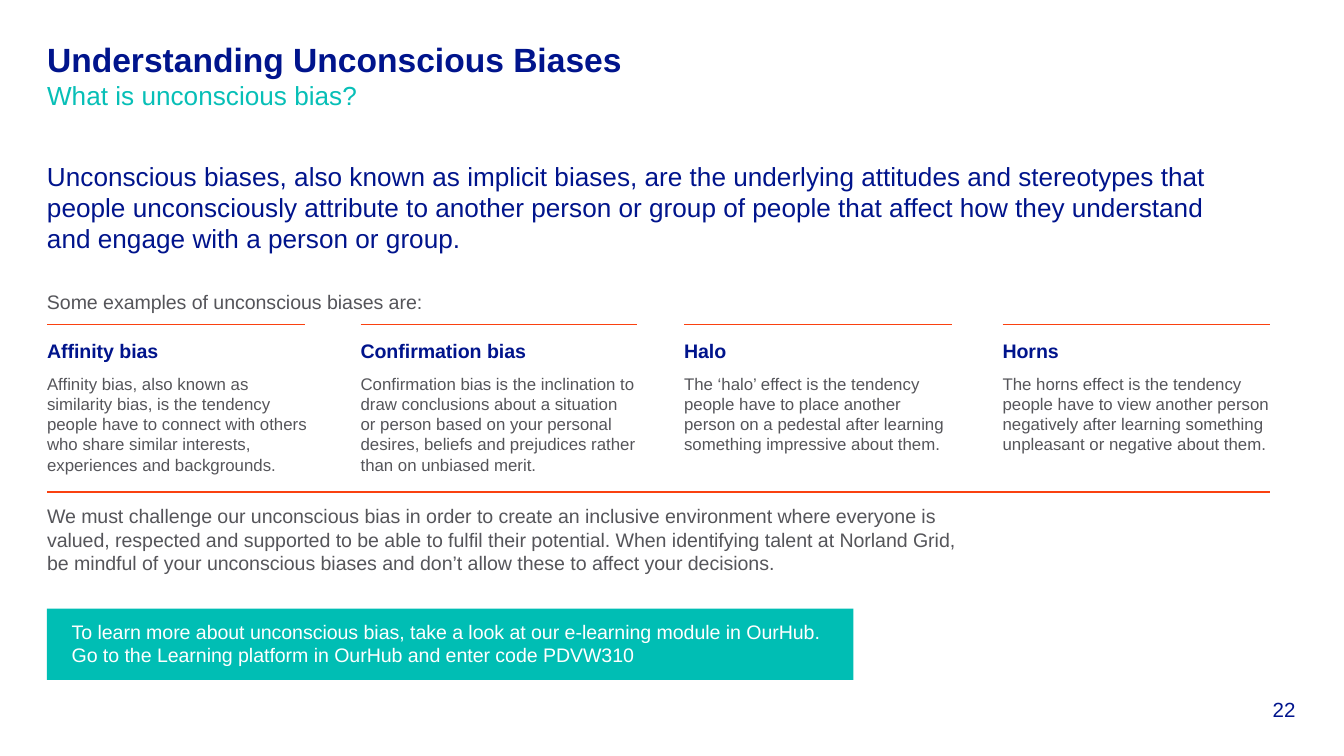
from pptx import Presentation
from pptx.dml.color import RGBColor
from pptx.enum.shapes import MSO_CONNECTOR as Connector, MSO_SHAPE as Shape
from pptx.enum.text import MSO_ANCHOR as Anchor, PP_ALIGN as Align
from pptx.oxml.ns import qn
from pptx.util import Inches, Pt
from lxml.etree import SubElement

NAVY = RGBColor(0x00, 0x14, 0x8C)
TEAL = RGBColor(0x00, 0xBE, 0xB4)
AQUA = RGBColor(0x07, 0xBF, 0xB7)
ORANGE = RGBColor(0xFA, 0x41, 0x10)
GREY = RGBColor(0x55, 0x55, 0x5A)
WHITE = RGBColor(0xFF, 0xFF, 0xFF)


class Page:
    """Places elements on a grid of 100 columns, ten to the inch; rows are as tall."""
    FONT = "Arial"

    def __init__(self, slide):
        self.shapes = slide.shapes

    @staticmethod
    def grid(*units):
        return [Inches(unit / 10) for unit in units]

    def text(self, box, *paragraphs, after=0, align=Align.LEFT, anchor=Anchor.TOP):
        """Each paragraph is a list of lines: (words, size, colour, bold)."""
        frame = self.shapes.add_textbox(*self.grid(*box)).text_frame
        frame.word_wrap = True
        frame.vertical_anchor = anchor
        frame.margin_left = frame.margin_right = 0
        frame.margin_top = frame.margin_bottom = 0
        frame.text = "\n".join("\v".join(line[0] for line in lines) for lines in paragraphs)
        for paragraph, lines in zip(frame.paragraphs, paragraphs):
            paragraph.alignment = align
            paragraph.space_after = Pt(after)
            for run, (_, size, colour, bold) in zip(paragraph.runs, lines):
                run.font.name = self.FONT
                run.font.size = Pt(size)
                run.font.color.rgb = colour
                run.font.bold = bold

    def rule(self, left, row, width):
        line = self.shapes.add_connector(
            Connector.STRAIGHT, *self.grid(left, row, left + width, row))
        line.line.color.rgb = ORANGE
        line.line.width = Pt(0.75)
        SubElement(line._element.spPr, qn("a:effectLst"))

    def panel(self, box, colour):
        panel = self.shapes.add_shape(Shape.RECTANGLE, *self.grid(*box))
        panel.shadow.inherit = False
        panel.fill.solid()
        panel.fill.fore_color.rgb = colour
        panel.line.fill.background()


deck = Presentation()
deck.slide_width = Inches(10)
deck.slide_height = deck.slide_width * 9 // 16
page = Page(deck.slides.add_slide(deck.slide_layouts[6]))
MARGIN, RIGHT = 3.5, 94.5

# Heading
page.text((MARGIN, 2.9, 92.9, 4.9),
          [("Understanding Unconscious Biases", 18, NAVY, True),
           ("What is unconscious bias?", 14, AQUA, False)])

# Definition and lead-in
page.text((MARGIN, 11.9, 87.3, 7.1),
          [("Unconscious biases, also known as implicit biases, are the underlying "
            "attitudes and stereotypes\u00a0that people unconsciously attribute to another "
            "person or group of people that affect how they understand and engage with "
            "a person or group. ", 14, NAVY, False)], after=12)
page.text((MARGIN, 21.6, 87.3, 1.8),
          [("Some examples of unconscious biases are: ", 10.5, GREY, False)], after=12)

# Four examples: left, rule width, text width, name, explanation
examples = [
    (MARGIN, 19.2, 19.9, "Affinity bias",
     "Affinity bias, also known as similarity bias, is the tendency people have to "
     "connect with others who share similar interests, experiences and backgrounds."),
    (26.83, 20.6, 20.5, "Confirmation bias",
     "Confirmation bias is the inclination to draw conclusions about a situation or "
     "person based on your personal desires, beliefs and prejudices rather than on "
     "unbiased merit."),
    (50.9, 19.9, 19.9, "Halo",
     "The ‘halo’ effect is the tendency people have to place another person on a "
     "pedestal after learning something impressive about them."),
    (74.6, 19.9, 19.9, "Horns",
     "The horns effect is the tendency people have to view another person negatively "
     "after learning something unpleasant or negative about them."),
]
for left, rule_width, text_width, name, explanation in examples:
    page.rule(left, 24.13, rule_width)
    page.text((left, 25.2, text_width, 10.2),
              [(name, 10.5, NAVY, True)], [(explanation, 9, GREY, False)], after=6)

# Conclusion
page.rule(MARGIN, 36.6, RIGHT - MARGIN)
page.text((MARGIN, 37.5, 69.5, 5.3),
          [("We must challenge our unconscious bias in order to create an inclusive "
            "environment where everyone is valued, respected and supported to be able to "
            "fulfil their potential. When identifying talent at Norland Grid, be mindful "
            "of your unconscious biases and don’t allow these to affect your decisions. ",
            10.5, GREY, False)], after=12)

# Learning panel
page.panel((MARGIN, 45.3, 60, 5.3), TEAL)
page.text((5.33, 46.1, 63.5, 3.5),
          [("To learn more about unconscious bias, take a look at our e-learning module "
            "in OurHub.", 10.5, WHITE, False),
           ("Go to the Learning platform in OurHub and enter code PDVW310",
            10.5, WHITE, False)], after=12)

# Page number
page.text((90.6, 51.8, 5.8, 1.9), [("22", 11, NAVY, False)],
          align=Align.RIGHT, anchor=Anchor.BOTTOM)

deck.save("out.pptx")
